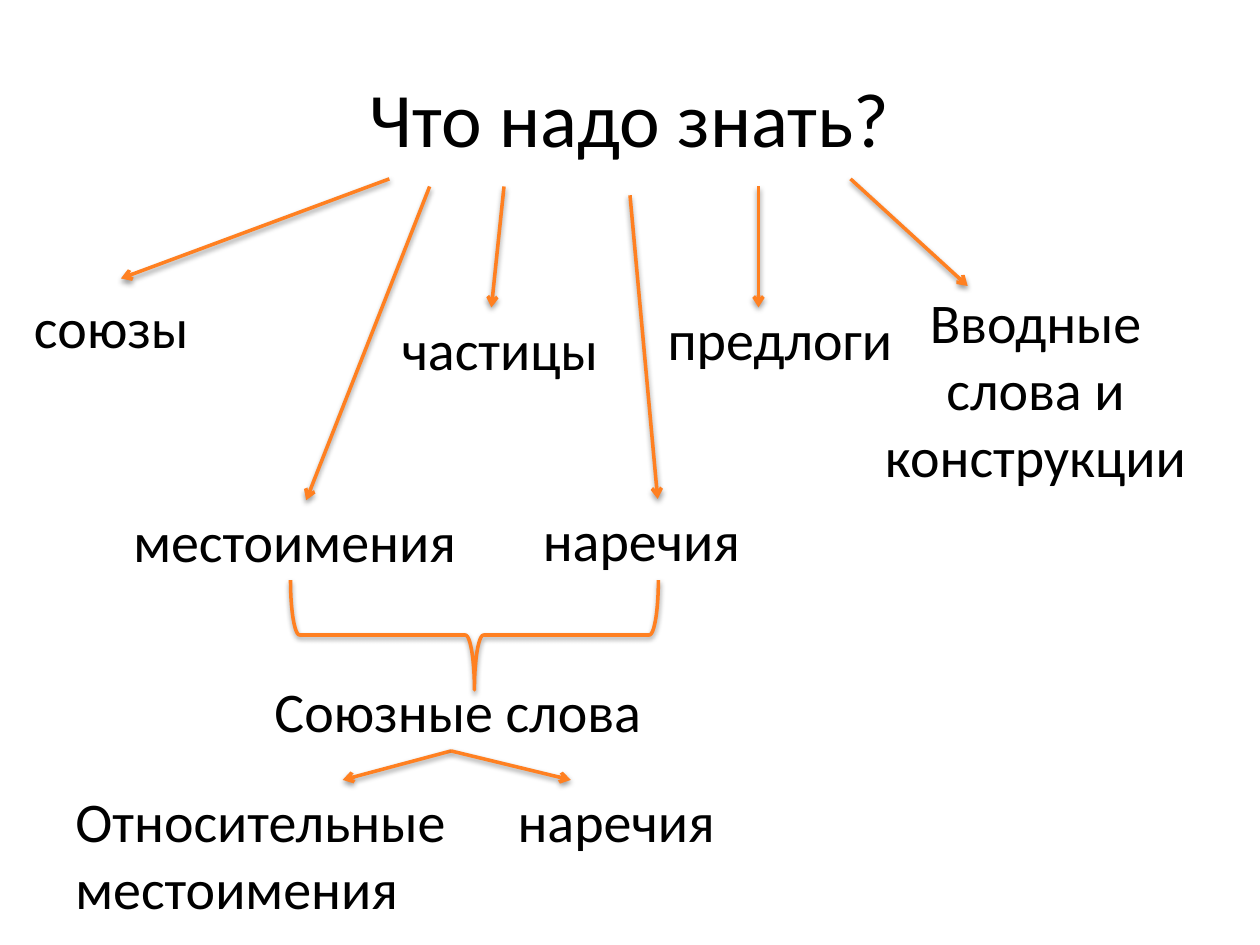
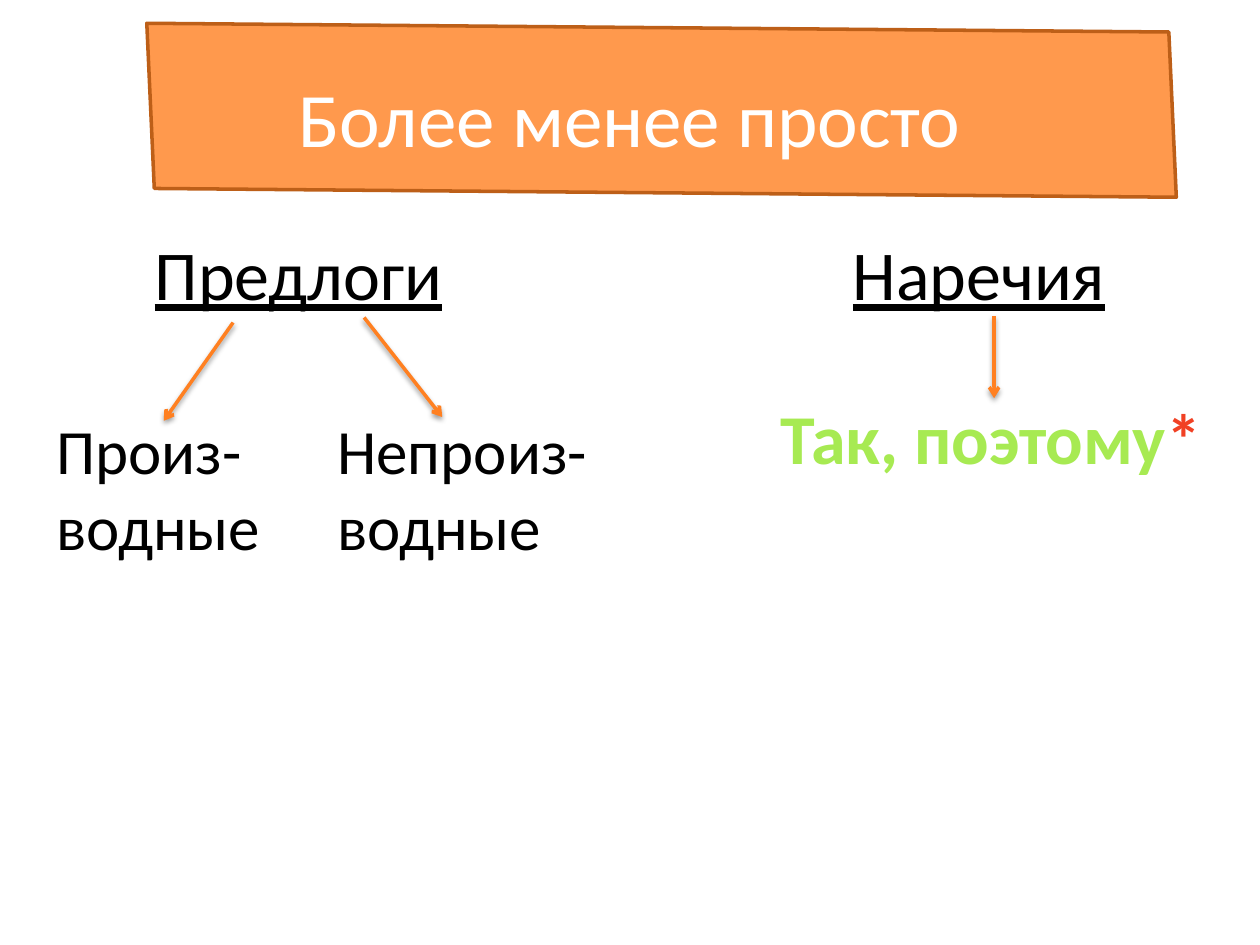
import pptx
import pptx.util
import pptx.dml.color
import pptx.enum.shapes
import pptx.enum.text
import pptx.oxml
import pptx.oxml.ns
from dataclasses import dataclass
from lxml import etree

Inches = pptx.util.Inches
Kind = pptx.enum.shapes.MSO_SHAPE
Align = pptx.enum.text.PP_ALIGN


@dataclass(frozen=True)
class Theme:
    font: str = "Calibri"
    black: str = "000000"
    white: str = "FFFFFF"
    orange: str = "FF8021"
    rust: str = "BD5F18"
    green: str = "A7EA52"
    red: str = "F14124"
    title: int = 44
    head: int = 40
    stem: int = 36
    word: int = 32
    line: int = 2


theme = Theme()
SHADOW = (
    f'<a:effectLst {pptx.oxml.ns.nsdecls("a")}>'
    '<a:outerShdw blurRad="39370" dist="20320" dir="5400000" rotWithShape="0">'
    '<a:srgbClr val="000000"><a:alpha val="38000"/></a:srgbClr>'
    '</a:outerShdw></a:effectLst>'
)


def paint(color):
    return pptx.dml.color.RGBColor.from_string(color)


def stroke(item, color):
    item.line.color.rgb = paint(color)
    item.line.width = pptx.util.Pt(theme.line)


def shade(item):
    item._element.spPr.append(pptx.oxml.parse_xml(SHADOW))


def style(run, size, color, bold=False, under=False):
    font = run.font
    font.name, font.size = theme.font, pptx.util.Pt(size)
    font.color.rgb = paint(color)
    font.bold, font.underline = bold, under


def label(slide, box, text, size=theme.word, color=theme.black,
          align=Align.LEFT, wrap=True, **looks):
    frame = slide.shapes.add_textbox(*map(Inches, box)).text_frame
    frame.word_wrap = wrap
    frame.text = text
    for para in frame.paragraphs:
        para.alignment = align
        for run in para.runs:
            style(run, size, color, **looks)
    return frame


def title(slide, box, text, color=theme.black):
    frame = label(slide, box, text, theme.title, color, Align.CENTER)
    frame.vertical_anchor = pptx.enum.text.MSO_ANCHOR.MIDDLE


def arrow(slide, box, start, end):
    left, top = box[:2]
    ends = [Inches(v) for x, y in (start, end) for v in (left + x, top + y)]
    link = slide.shapes.add_connector(
        pptx.enum.shapes.MSO_CONNECTOR.STRAIGHT, *ends)
    stroke(link, theme.orange)
    tip = etree.SubElement(link.line._get_or_add_ln(), pptx.oxml.ns.qn("a:tailEnd"))
    tip.set("type", "arrow")
    shade(link)


def labels(slide, box, items, **looks):
    for text, x, y, wide, high in items:
        label(slide, (box[0] + x, box[1] + y, wide, high), text, **looks)


def arrows(slide, box, pairs):
    for start, end in pairs:
        arrow(slide, box, start, end)


def classes(slide, box):
    arrows(slide, box, [
        ((2.92, 0), (0.79, 0.79)),
        ((3.24, 0.06), (2.26, 2.55)),
        ((3.83, 0.06), (3.73, 1.02)),
        ((4.83, 0.13), (5.05, 2.54)),
        ((6.58, 0), (7.51, 0.85)),
        ((5.85, 0.06), (5.85, 1.02)),
    ])
    labels(slide, box, [
        ("союзы", 0, 0.85, 1.59, 0.64),
        ("местоимения", 0.79, 2.55, 2.93, 0.64),
        ("наречия", 4.04, 2.54, 2.02, 0.64),
        ("предлоги", 5.03, 0.95, 2.05, 0.64),
        ("частицы", 2.92, 1.03, 2.02, 0.64),
    ])
    labels(slide, box, [("Вводные слова и конструкции", 6.75, 0.81, 2.6, 1.72)],
           align=Align.CENTER)


def links(slide, box):
    left, top = box[:2]
    wide, high = 0.87, 2.92
    brace = slide.shapes.add_shape(
        Kind.RIGHT_BRACE, Inches(left + 2.83), Inches(top - 1.03),
        Inches(wide), Inches(high))
    brace.rotation = 90
    brace.fill.background()
    stroke(brace, theme.orange)
    shade(brace)
    labels(slide, box, [
        ("Союзные слова", 1.58, 0.71, 3.36, 0.64),
        ("Относительные местоимения", 0, 1.58, 3.86, 1.18),
        ("наречия", 3.51, 1.58, 3.86, 0.64),
    ])
    peak = (3.08, 1.35)
    arrows(slide, box, [(peak, (2.22, 1.58)), (peak, (4.03, 1.58))])


def banner(slide, box):
    left, top, wide, high = box
    band = slide.shapes.add_shape(
        Kind.PARALLELOGRAM, Inches(left + (wide - high) / 2),
        Inches(top + (high - wide) / 2), Inches(high), Inches(wide))
    band.rotation = 87.4
    band.shadow.inherit = False
    band.fill.solid()
    band.fill.fore_color.rgb = paint(theme.orange)
    tone = band._element.spPr.find(".//" + pptx.oxml.ns.qn("a:srgbClr"))
    etree.SubElement(tone, pptx.oxml.ns.qn("a:alpha")).set("val", "80000")
    stroke(band, theme.rust)


def cases(slide, box):
    labels(slide, box, [("Предлоги", 0.78, 0, 2.6, 0.77)],
           size=theme.head, under=True)
    arrows(slide, box, [((1.5, 0.78), (0.95, 1.56)), ((2.54, 0.74), (3.16, 1.53))])
    labels(slide, box, [
        ("Произ-\nводные", 0, 1.44, 1.89, 1.31),
        ("Непроиз-\nводные", 2.23, 1.44, 2.2, 1.31),
    ], size=theme.stem, wrap=False)


def adverbs(slide, box):
    left, top = box[:2]
    labels(slide, box, [("Наречия", 0.57, 0, 2.4, 0.77)],
           size=theme.head, under=True)
    arrow(slide, box, (1.79, 0.73), (1.79, 1.38))
    frame = label(slide, (left, top + 1.3, 3.7, 0.77), "Так, поэтому",
                  theme.head, theme.green, bold=True)
    star = frame.paragraphs[0].add_run()
    star.text = "*"
    style(star, theme.head, theme.red, bold=True)


def main():
    deck = pptx.Presentation()
    deck.slide_width, deck.slide_height = Inches(10), Inches(7.5)
    blank = deck.slide_layouts[6]
    top = (0.5, 0.3, 9, 1.25)

    know = deck.slides.add_slide(blank)
    title(know, top, "Что надо знать?")
    classes(know, (0.17, 1.42, 9.35, 3.19))
    links(know, (0.5, 4.61, 7.37, 2.76))

    plain = deck.slides.add_slide(blank)
    banner(plain, (1.2, 0, 8.1, 1.75))
    title(plain, top, "Более менее просто", theme.white)
    cases(plain, (0.35, 1.78, 4.43, 2.75))
    adverbs(plain, (6.1, 1.78, 3.7, 2.07))

    deck.save("out.pptx")


if __name__ == "__main__":
    main()
